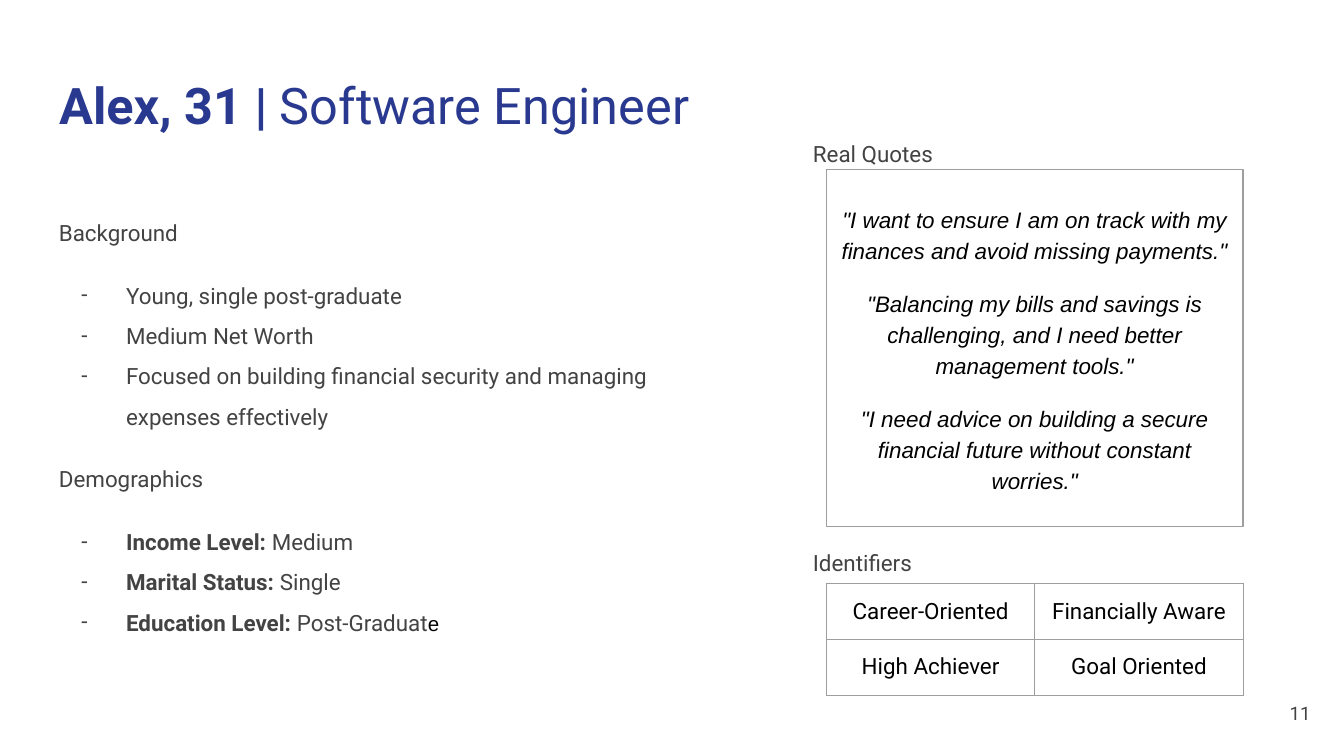
from lxml.etree import SubElement
from pptx import Presentation
from pptx.dml.color import RGBColor
from pptx.enum.shapes import MSO_SHAPE
from pptx.enum.text import MSO_ANCHOR as Anchor, MSO_AUTO_SIZE as AutoSize, PP_ALIGN as Align
from pptx.oxml.ns import qn
from pptx.util import Pt

GRAY, BLUE, BLACK, BORDER = "434343", "2A3990", "000000", "9E9E9E"
MARGIN = 7.2


def style(run, size=12, color=GRAY, font="Roboto", bold=False, italic=False):
    run.font.size = Pt(size)
    run.font.name = font
    run.font.bold = bold
    run.font.italic = italic
    run.font.color.rgb = RGBColor.from_string(color)


def prepare(frame, anchor=Anchor.TOP):
    frame.word_wrap = True
    frame.auto_size = AutoSize.NONE
    frame.vertical_anchor = anchor
    frame.margin_left = frame.margin_right = Pt(MARGIN)
    frame.margin_top = frame.margin_bottom = Pt(MARGIN)


presentation = Presentation()
presentation.slide_width, presentation.slide_height = Pt(720), Pt(405)
slide = presentation.slides.add_slide(presentation.slide_layouts[5])

title = slide.shapes.title
title.left, title.top, title.width, title.height = Pt(24.5), Pt(32.4), Pt(671), Pt(47.5)
prepare(title.text_frame)
paragraph = title.text_frame.paragraphs[0]
paragraph.alignment = Align.LEFT
for text, bold in [("Alex, 31 | ", True), ("Software Engineer", False)]:
    run = paragraph.add_run()
    run.text = text
    style(run, 27, BLUE, bold=bold)

labels = [
    ("Real Quotes", 428.4, 60.5, 243.4, 36, 12, Align.LEFT, Anchor.TOP, 1.5),
    ("Identifiers", 428.4, 280, 243.4, 36, 12, Align.LEFT, Anchor.TOP, 1.5),
    ("11", 666, 366.5, 43.2, 31, 10, Align.RIGHT, Anchor.MIDDLE, 1),
]
for text, left, top, width, height, size, alignment, anchor, spacing in labels:
    label = slide.shapes.add_textbox(Pt(left), Pt(top), Pt(width), Pt(height))
    prepare(label.text_frame, anchor)
    label.text_frame.text = text
    paragraph = label.text_frame.paragraphs[0]
    paragraph.alignment = alignment
    paragraph.line_spacing = spacing
    style(paragraph.runs[0], size)

sections = [
    ("Background", [
        ("", "Young, single post-graduate"),
        ("", "Medium Net Worth"),
        ("", "Focused on building financial security and managing expenses effectively"),
    ]),
    ("Demographics", [
        ("Income Level:", " Medium"),
        ("Marital Status:", " Single"),
        ("Education Level: ", "Post-Graduate"),
    ]),
]
profile = slide.shapes.add_textbox(Pt(24.5), Pt(103), Pt(377.3), Pt(263.5))
frame = profile.text_frame
prepare(frame)
for section_index, (heading, items) in enumerate(sections):
    paragraph = frame.add_paragraph() if section_index else frame.paragraphs[0]
    paragraph.text = heading
    paragraph.line_spacing = 1.5
    paragraph.space_before = Pt(12)
    style(paragraph.runs[0])
    for item_index, (term, detail) in enumerate(items):
        paragraph = frame.add_paragraph()
        paragraph.line_spacing = 1.5
        paragraph.space_before = Pt(0 if item_index else 12)
        properties = paragraph._p.get_or_add_pPr()
        properties.set("marL", str(Pt(36)))
        properties.set("indent", str(Pt(-24)))
        bullet_color = SubElement(properties, qn("a:buClr"))
        SubElement(bullet_color, qn("a:srgbClr"), val=GRAY)
        SubElement(properties, qn("a:buFont"), typeface="Roboto")
        SubElement(properties, qn("a:buChar"), char="-")
        if term:
            run = paragraph.add_run()
            run.text = term
            style(run, bold=True)
        run = paragraph.add_run()
        run.text = detail
        style(run)
run.text = "Post-Graduat"
run = paragraph.add_run()
run.text = "e"
style(run, 11, BLACK, "Arial")

quotes = [
    '"I want to ensure I am on track with my finances and avoid missing payments."',
    '"Balancing my bills and savings is challenging, and I need better management tools."',
    '"I need advice on building a secure financial future without constant worries."',
]
quote_box = slide.shapes.add_shape(MSO_SHAPE.RECTANGLE, Pt(442.8), Pt(90.7), Pt(223.2), Pt(191.5))
quote_box.shadow.inherit = False
quote_box.fill.background()
quote_box.line.color.rgb = RGBColor.from_string(BORDER)
quote_box.line.width = Pt(0.75)
prepare(quote_box.text_frame, Anchor.MIDDLE)
quote_box.text_frame.text = "\n".join(quotes)
for paragraph in quote_box.text_frame.paragraphs:
    paragraph.alignment = Align.CENTER
    paragraph.line_spacing = 1.15
    paragraph.space_before = Pt(12)
    style(paragraph.runs[0], 12, BLACK, "Arial", italic=True)
paragraph.space_after = Pt(12)

identifiers = [["Career-Oriented", "Financially Aware"], ["High Achiever", "Goal Oriented"]]
table = slide.shapes.add_table(2, 2, Pt(442.8), Pt(312.5), Pt(223.2), Pt(60)).table
table.first_row = table.horz_banding = False
for row_index, row in enumerate(identifiers):
    for column_index, text in enumerate(row):
        cell = table.cell(row_index, column_index)
        cell.text = text
        cell.vertical_anchor = Anchor.MIDDLE
        cell.margin_left = cell.margin_right = Pt(MARGIN)
        cell.margin_top = cell.margin_bottom = Pt(MARGIN)
        paragraph = cell.text_frame.paragraphs[0]
        paragraph.alignment = Align.CENTER
        style(paragraph.runs[0], 12, BLACK)
        properties = cell._tc.get_or_add_tcPr()
        for side in ("lnL", "lnR", "lnT", "lnB"):
            border = SubElement(properties, qn("a:" + side), w=str(Pt(0.75)))
            border_fill = SubElement(border, qn("a:solidFill"))
            SubElement(border_fill, qn("a:srgbClr"), val=BORDER)
        cell.fill.background()

presentation.save("out.pptx")
